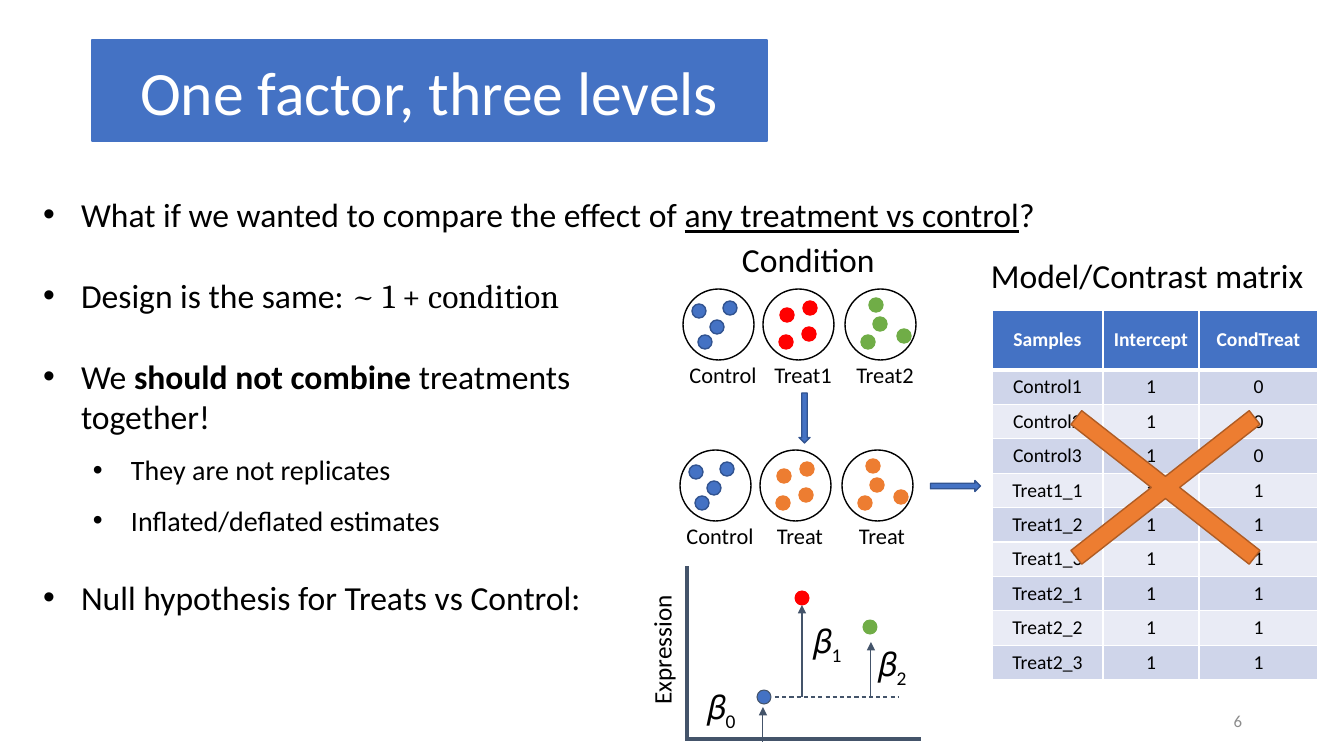
"""Build the slide on one factor with three levels."""
from lxml.etree import SubElement
from pptx import Presentation
from pptx.dml.color import RGBColor
from pptx.enum.dml import MSO_LINE
from pptx.enum.shapes import MSO_CONNECTOR, MSO_SHAPE
from pptx.enum.text import MSO_ANCHOR, MSO_AUTO_SIZE, PP_ALIGN
from pptx.oxml.ns import qn
from pptx.util import Emu, Pt

SCALE = 914400 / 100.8
COLORS = {
    "black": "000000", "white": "FFFFFF", "gray": "8C8C8C", "slate": "44546A",
    "blue": "4472C4", "navy": "325491", "red": "FF0000", "green": "70AD47",
    "orange": "ED7D31", "brown": "AF5C24", "band": "CFD5EA", "light": "E9EBF5",
}
COLORS = {name: RGBColor.from_string(value) for name, value in COLORS.items()}
LEFT, CENTER, RIGHT = PP_ALIGN.LEFT, PP_ALIGN.CENTER, PP_ALIGN.RIGHT


def px(*lengths):
    return [Emu(round(length * SCALE)) for length in lengths]


def add_run(paragraph, text, size, color="black", font="Calibri", bold=False):
    run = paragraph.add_run()
    run.text = text
    run.font.size, run.font.name, run.font.bold = Pt(size), font, bold
    run.font.color.rgb = COLORS[color]
    return run


presentation = Presentation()
presentation.slide_width, presentation.slide_height = px(1344, 756)
slide = presentation.slides.add_slide(presentation.slide_layouts[5])
shapes = slide.shapes

title = shapes.title
title.left, title.top, title.width, title.height = px(92, 40, 675, 101)
geometry = SubElement(title.element.spPr, qn("a:prstGeom"), prst="roundRect")
SubElement(geometry, qn("a:avLst"))
title.fill.solid()
title.fill.fore_color.rgb = title.line.color.rgb = COLORS["blue"]
title.line.width = Pt(1)
title.text_frame.auto_size = MSO_AUTO_SIZE.NONE
title.text_frame.vertical_anchor = MSO_ANCHOR.MIDDLE
title.text_frame.paragraphs[0].alignment = CENTER
add_run(title.text_frame.paragraphs[0], "One factor, three levels", 44, "white")

body = shapes.add_textbox(*px(30, 161, 1169, 472)).text_frame
body.word_wrap = True
body.margin_left, body.margin_top, body.margin_right, body.margin_bottom = px(13, 13, 13, 13)
points = [
    (0, 1.5, True, [("What if we wanted to compare the effect of ", ""),
                    ("any treatment vs control", "underline"), ("?", "")]),
    (0, 2, True, [("Design is the same: ", ""), ("~ 1 + condition", "formula")]),
    (0, 2, True, [("We ", ""), ("should not combine", "bold"), (" treatments", "")]),
    (0, 1, False, [("together!", "")]),
    (1, 1.5, True, [("They are not replicates", "")]),
    (1, 1.5, True, [("Inflated/deflated estimates", "")]),
    (0, 2, True, [("Null hypothesis for Treats vs Control:", "")]),
]
for index, (level, spacing, bulleted, runs) in enumerate(points):
    paragraph = body.add_paragraph() if index else body.paragraphs[0]
    paragraph.level, paragraph.line_spacing = level, float(spacing)
    margin, hanging = px(38 + 50 * level, -38)
    properties = paragraph._p.get_or_add_pPr()
    properties.set("marL", str(margin))
    properties.set("indent", str(hanging if bulleted else 0))
    if bulleted:
        SubElement(properties, qn("a:buFont"), typeface="Arial")
        SubElement(properties, qn("a:buChar"), char="•")
    else:
        SubElement(properties, qn("a:buNone"))
    for text, style in runs:
        run = add_run(paragraph, text, 20 if level else 24, bold=style == "bold",
                      font="Cambria" if style == "formula" else "Calibri")
        run.font.underline = style == "underline"

samples = [f"{group}{number}" for group in ("Control", "Treat1_", "Treat2_") for number in (1, 2, 3)]
rows = [("Samples", "Intercept", "CondTreat")]
rows += [(sample, "1", "0" if sample.startswith("Control") else "1") for sample in samples]
table = shapes.add_table(len(rows), 3, *px(992, 310, 326, 370)).table
for column, width in zip(table.columns, px(111, 96, 119)):
    column.width = width
for row_index, values in enumerate(rows):
    header = row_index == 0
    table.rows[row_index].height = px(60)[0] if header else px(310 / len(samples))[0]
    for column_index, value in enumerate(values):
        cell = table.cell(row_index, column_index)
        cell.margin_left, cell.margin_right, cell.margin_top, cell.margin_bottom = px(4, 4, 4, 4)
        cell.vertical_anchor = MSO_ANCHOR.MIDDLE
        paragraph = cell.text_frame.paragraphs[0]
        paragraph.alignment = CENTER
        add_run(paragraph, value, 14, "white" if header else "black", bold=header)
        properties = cell._tc.get_or_add_tcPr()
        for side in ("lnL", "lnR", "lnT", "lnB"):
            thick = (header and side == "lnB") or (row_index == 1 and side == "lnT")
            border = SubElement(properties, qn(f"a:{side}"), w=str(Pt(3 if thick else 1)))
            fill = SubElement(border, qn("a:solidFill"))
            SubElement(fill, qn("a:srgbClr"), val=str(COLORS["white"]))
        cell.fill.solid()
        cell.fill.fore_color.rgb = COLORS["blue" if header else "band" if row_index % 2 else "light"]

labels = [
    ("Condition", 732, 234, 154, 50, 24, LEFT, 0),
    ("Model/Contrast matrix", 981, 250, 336, 50, 24, LEFT, 0),
    ("Expression", 596, 629, 131, 40, 18, LEFT, 270),
    ("6", 950, 701, 302, 40, 12, RIGHT, 0),
]
marks = [
    (MSO_SHAPE.MATH_MULTIPLY, 994, 353, 343, 269, "orange", "brown", 1, 0),
    (MSO_SHAPE.DOWN_ARROW, 799, 393, 11, 50, "blue", "navy", 1, 0),
    (MSO_SHAPE.DOWN_ARROW, 950, 461, 11, 50, "blue", "navy", 1, 270),
]
dot_offsets = [
    [(27, 31), (40, 12), (9, 15), (15, 46)],
    [(39, 38), (40, 12), (17, 19), (16, 46)],
    [(52, 40), (28, 28), (24, 9), (16, 46)],
]
conditions = [
    (683, 289, ["Control", "Treat1", "Treat2"], ["blue", "red", "green"]),
    (680, 450, ["Control", "Treat", "Treat"], ["blue", "orange", "orange"]),
]
for row_left, top, names, colors in conditions:
    for shift, name, color, offsets in zip((0, 80, 162), names, colors, dot_offsets):
        left = row_left + shift
        labels.append((name, left + 2, top + 67, 76, 37, 16, CENTER, 0))
        marks.append((MSO_SHAPE.OVAL, left, top, 71, 71, None, "black", 1, 0))
        for x, y in offsets:
            outline = "navy" if color == "blue" else color
            marks.append((MSO_SHAPE.OVAL, left + x, top + y, 14, 14, color, outline, 1, 0))
for left, top, color, outline in [(757, 690, "blue", "slate"), (795, 591, "red", "red"),
                                  (863, 620, "green", "green")]:
    marks.append((MSO_SHAPE.OVAL, left, top, 14, 14, color, outline, 0.75, 0))

for kind, left, top, width, height, color, outline, weight, rotation in marks:
    shape = shapes.add_shape(kind, *px(left, top, width, height))
    shape.shadow.inherit = False
    shape.rotation = rotation
    shape.line.color.rgb, shape.line.width = COLORS[outline], Pt(weight)
    if color:
        shape.fill.solid()
        shape.fill.fore_color.rgb = COLORS[color]
    else:
        shape.fill.background()
    if kind == MSO_SHAPE.MATH_MULTIPLY:
        shape.adjustments[0] = 0.065

for text, left, top, width, height, size, alignment, rotation in labels:
    box = shapes.add_textbox(*px(left, top, width, height))
    box.rotation = rotation
    frame = box.text_frame
    frame.word_wrap = alignment != LEFT
    if alignment == CENTER:
        frame.margin_left = frame.margin_right = 0
    if alignment == RIGHT:
        frame.vertical_anchor = MSO_ANCHOR.MIDDLE
    frame.paragraphs[0].alignment = alignment
    add_run(frame.paragraphs[0], text, size, "gray" if alignment == RIGHT else "black")

for subscript, left, top in [("0", 700, 673), ("1", 806, 607), ("2", 871, 630)]:
    frame = shapes.add_textbox(*px(left, top, 43, 56)).text_frame
    frame.word_wrap = True
    frame.margin_left, frame.margin_right, frame.margin_top, frame.margin_bottom = px(0, 0, 13, 13)
    paragraph = frame.paragraphs[0]
    paragraph.alignment = CENTER
    add_run(paragraph, "𝛽", 24)
    add_run(paragraph, subscript, 24)._r.get_or_add_rPr().set("baseline", "-25000")

plot_lines = [
    (687, 739, 921, 739, 3, "axis"), (687, 741, 687, 566, 3, "axis"),
    (802, 697, 802, 605, 0.75, "arrow"), (763, 742, 763, 707, 0.75, "arrow"),
    (871, 697, 871, 642, 0.75, "arrow"), (775, 697, 898, 697, 0.75, "dash"),
]
for x1, y1, x2, y2, weight, style in plot_lines:
    connector = shapes.add_connector(MSO_CONNECTOR.STRAIGHT, *px(x1, y1, x2, y2))
    connector.line.color.rgb, connector.line.width = COLORS["slate"], Pt(weight)
    if style == "dash":
        connector.line.dash_style = MSO_LINE.DASH
    if style == "arrow":
        SubElement(connector.line._get_or_add_ln(), qn("a:tailEnd"), type="triangle")
    SubElement(connector.element.spPr, qn("a:effectLst"))

presentation.save("out.pptx")
